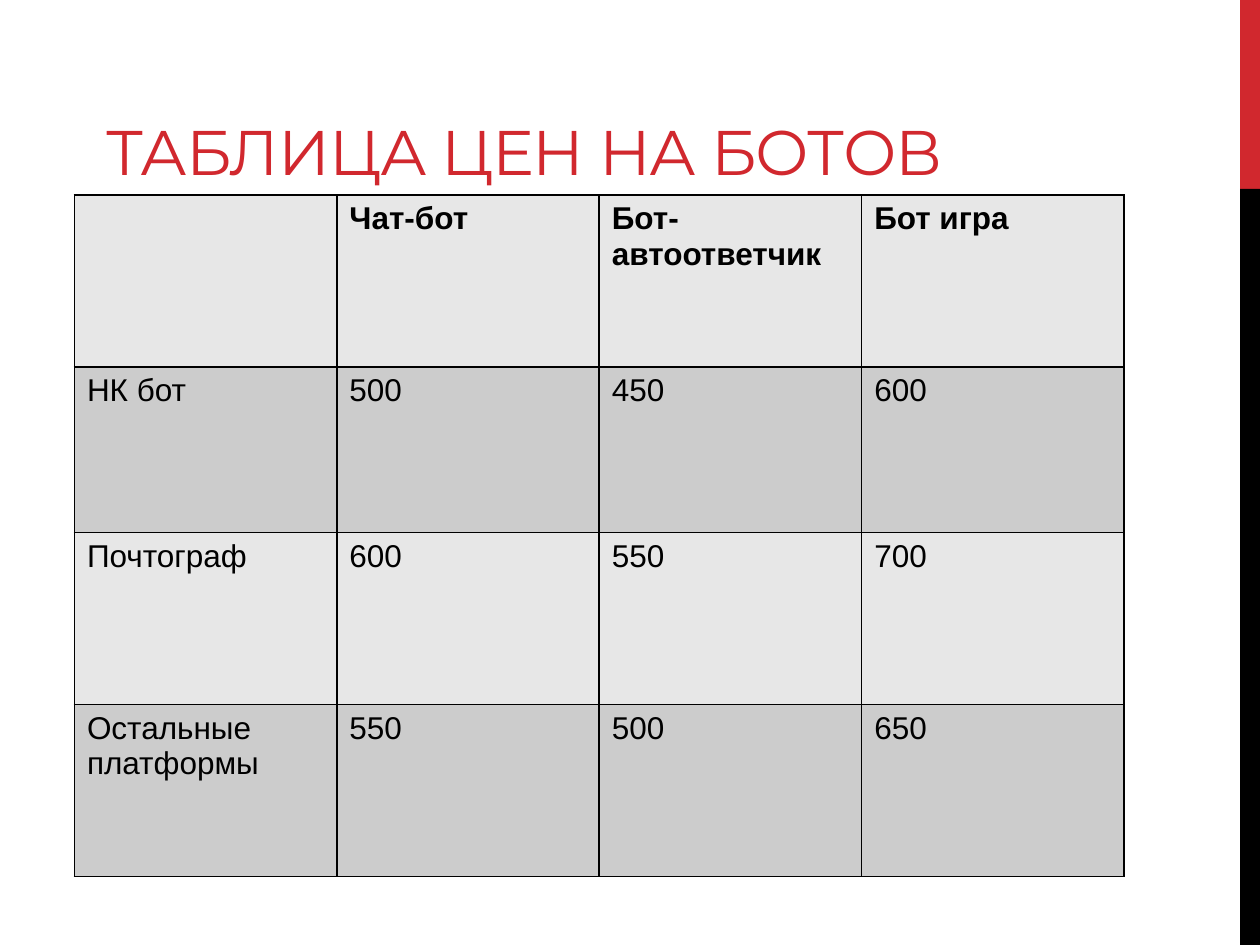
import pptx
import pptx.dml.color
import pptx.enum.shapes
import pptx.enum.text
import pptx.oxml
import pptx.oxml.ns
import pptx.util
from pptx.util import Cm

COLORS = {
    "accent": "D1282E",
    "ink": "000000",
    "light": "E7E7E7",
    "dark": "CCCCCC",
}

PRICES = [
    ["", "Чат-бот", "Бот-автоответчик", "Бот игра"],
    ["НК бот", "500", "450", "600"],
    ["Почтограф", "600", "550", "700"],
    ["Остальные платформы", "550", "500", "650"],
]


def rgb(name):
    return pptx.dml.color.RGBColor.from_string(COLORS[name])


class PriceSlide:
    title_font = "Montserrat"
    body_font = "Arial"

    def __init__(self, deck):
        self.slide = deck.slides.add_slide(deck.slide_layouts[6])

    def style(self, para, font, size, color, bold=False):
        para.font.name = font
        para.font.size = pptx.util.Pt(size)
        para.font.bold = bold
        para.font.color.rgb = rgb(color)

    def bar(self, left, top, width, height, color):
        shape = self.slide.shapes.add_shape(
            pptx.enum.shapes.MSO_SHAPE.RECTANGLE,
            Cm(left), Cm(top), Cm(width), Cm(height))
        shape.shadow.inherit = False
        shape.fill.solid()
        shape.fill.fore_color.rgb = rgb(color)
        shape.line.fill.background()

    def title(self, text, left, top, width, height):
        box = self.slide.shapes.add_textbox(
            Cm(left), Cm(top), Cm(width), Cm(height))
        frame = box.text_frame
        frame.word_wrap = True
        frame.vertical_anchor = pptx.enum.text.MSO_ANCHOR.BOTTOM
        frame.margin_bottom = Cm(0.05)
        para = frame.paragraphs[0]
        span = para.add_run()
        span.text = text
        span.font._element.set("spc", "-60")
        self.style(para, self.title_font, 36, "accent")

    def borders(self, cell):
        properties = cell._tc.get_or_add_tcPr()
        for index, side in enumerate(("lnL", "lnR", "lnT", "lnB")):
            line = pptx.oxml.parse_xml(
                f'<a:{side} {pptx.oxml.ns.nsdecls("a")} w="12700"><a:solidFill>'
                f'<a:srgbClr val="{COLORS["ink"]}"/></a:solidFill></a:{side}>')
            properties.insert(index, line)

    def table(self, rows, left, top, column_width, row_heights):
        columns = len(rows[0])
        table = self.slide.shapes.add_table(
            len(rows), columns, Cm(left), Cm(top),
            Cm(column_width * columns), Cm(sum(row_heights))).table
        for column in table.columns:
            column.width = Cm(column_width)
        for index, (texts, height) in enumerate(zip(rows, row_heights)):
            table.rows[index].height = Cm(height)
            for cell, text in zip(table.rows[index].cells, texts):
                cell.text = text
                cell.fill.solid()
                cell.fill.fore_color.rgb = rgb("dark" if index % 2 else "light")
                self.style(cell.text_frame.paragraphs[0], self.body_font, 18,
                           "ink", bold=index == 0)
                self.borders(cell)


def main():
    deck = pptx.Presentation()
    deck.slide_width, deck.slide_height = Cm(25.4), Cm(19.05)
    page = PriceSlide(deck)

    # Side stripe
    page.bar(25, 0, 0.4, 3.81, "accent")
    page.bar(25, 3.81, 0.4, 15.24, "ink")

    # Heading and price table
    page.title("ТАБЛИЦА ЦЕН НА БОТОВ", 1.9, 0.03, 20.8, 3.81)
    page.table(PRICES, 1.5, 3.93, 5.29, [3.47, 3.33, 3.47, 3.47])

    deck.save("out.pptx")


if __name__ == "__main__":
    main()
